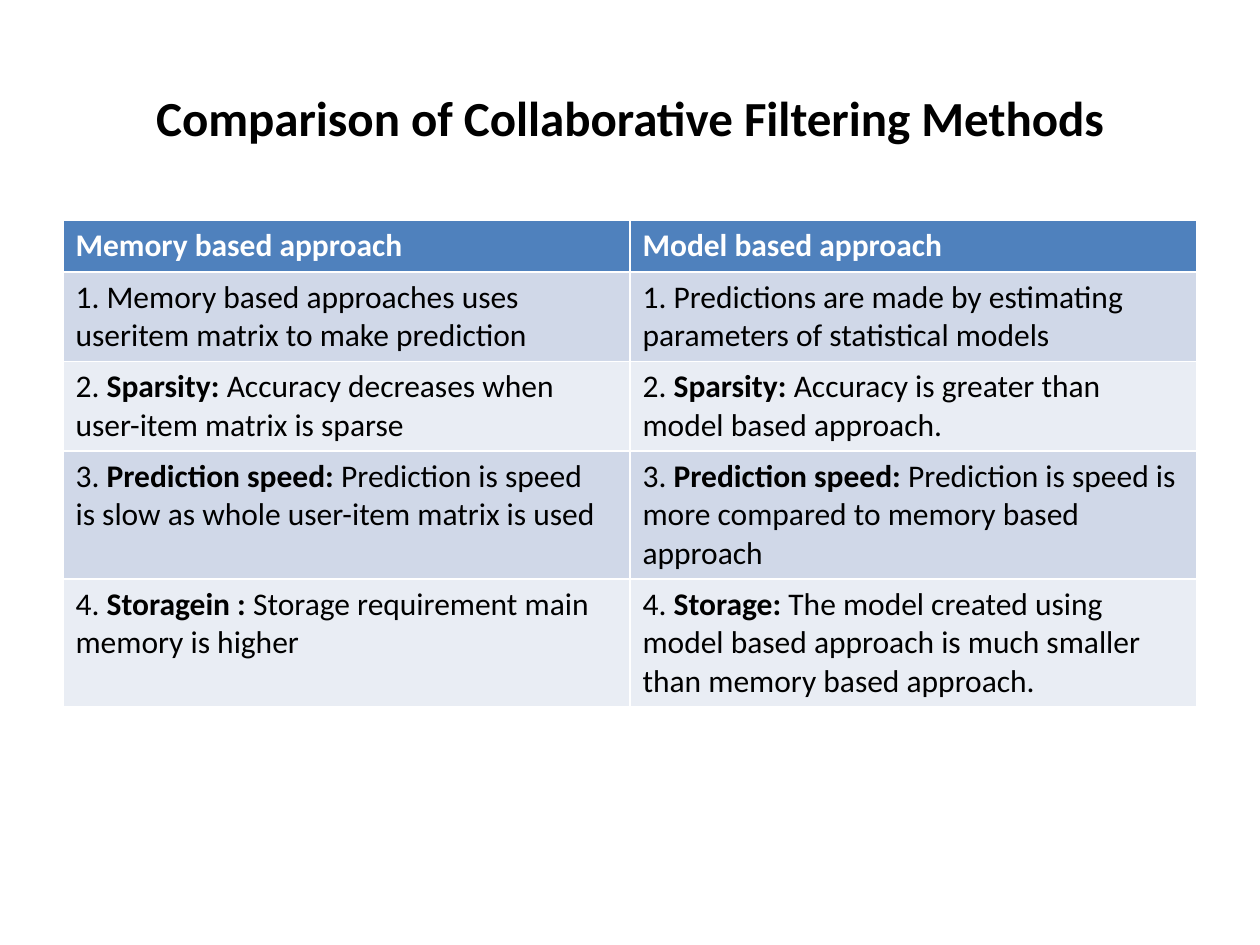
"""Build a slide comparing memory based and model based collaborative filtering."""
from pptx import Presentation
from pptx.dml.color import RGBColor
from pptx.enum.text import MSO_ANCHOR, PP_ALIGN
from pptx.util import Inches, Pt

FONT = "Calibri"
BLACK = RGBColor(0x00, 0x00, 0x00)
WHITE = RGBColor(0xFF, 0xFF, 0xFF)
HEADER_BLUE = RGBColor(0x4F, 0x81, 0xBD)
BANDS = [RGBColor(0xD0, 0xD8, 0xE8), RGBColor(0xE9, 0xED, 0xF4)]

HEADERS = ["Memory based approach", "Model based approach"]
COMPARISON = [
    [("", ["Memory based approaches uses useritem matrix to make prediction"]),
     ("", ["Predictions are made by estimating parameters of statistical models"])],
    [("Sparsity: ", ["Accuracy decreases when", "user-item matrix is sparse"]),
     ("Sparsity: ", ["Accuracy is greater than model based approach."])],
    [("Prediction speed: ", ["Prediction is speed", "is slow as whole user-item matrix is used"]),
     ("Prediction speed: ", ["Prediction is speed is more compared to memory based approach"])],
    [("Storagein : ", ["Storage requirement main", "memory is higher"]),
     ("Storage: ", ["The model created using model based approach is much smaller "
                    "than memory based approach."])],
]


def style_font(para, size, color, bold):
    para.font.name = FONT
    para.font.size = Pt(size)
    para.font.color.rgb = color
    para.font.bold = bold


def fill_cell(cell, color):
    cell.fill.solid()
    cell.fill.fore_color.rgb = color


deck = Presentation()
deck.slide_width, deck.slide_height = Inches(10), Inches(7.5)
slide = deck.slides.add_slide(deck.slide_layouts[5])

title = slide.shapes.title
title.left, title.top = Inches(0.5), Inches(0.3)
title.width, title.height = Inches(9), Inches(1.25)
title.text_frame.text = "Comparison of Collaborative Filtering Methods"
title.text_frame.vertical_anchor = MSO_ANCHOR.MIDDLE
title_para = title.text_frame.paragraphs[0]
title_para.alignment = PP_ALIGN.CENTER
style_font(title_para, 28, BLACK, True)

row_count = len(COMPARISON) + 1
table = slide.shapes.add_table(
    row_count, len(HEADERS), Inches(0.5), Inches(1.75), Inches(9), Inches(0.41 * row_count)
).table

for column, heading in enumerate(HEADERS):
    cell = table.cell(0, column)
    fill_cell(cell, HEADER_BLUE)
    cell.text = heading
    style_font(cell.text_frame.paragraphs[0], 18, WHITE, True)

for number, entries in enumerate(COMPARISON, start=1):
    for column, (label, lines) in enumerate(entries):
        cell = table.cell(number, column)
        fill_cell(cell, BANDS[(number - 1) % 2])
        frame = cell.text_frame
        first = frame.paragraphs[0]
        first.add_run().text = f"{number}. "
        if label:
            span = first.add_run()
            span.text = label
            span.font.bold = True
        first.add_run().text = lines[0]
        for line in lines[1:]:
            frame.add_paragraph().add_run().text = line
        for para in frame.paragraphs:
            style_font(para, 18, BLACK, False)

deck.save("out.pptx")
